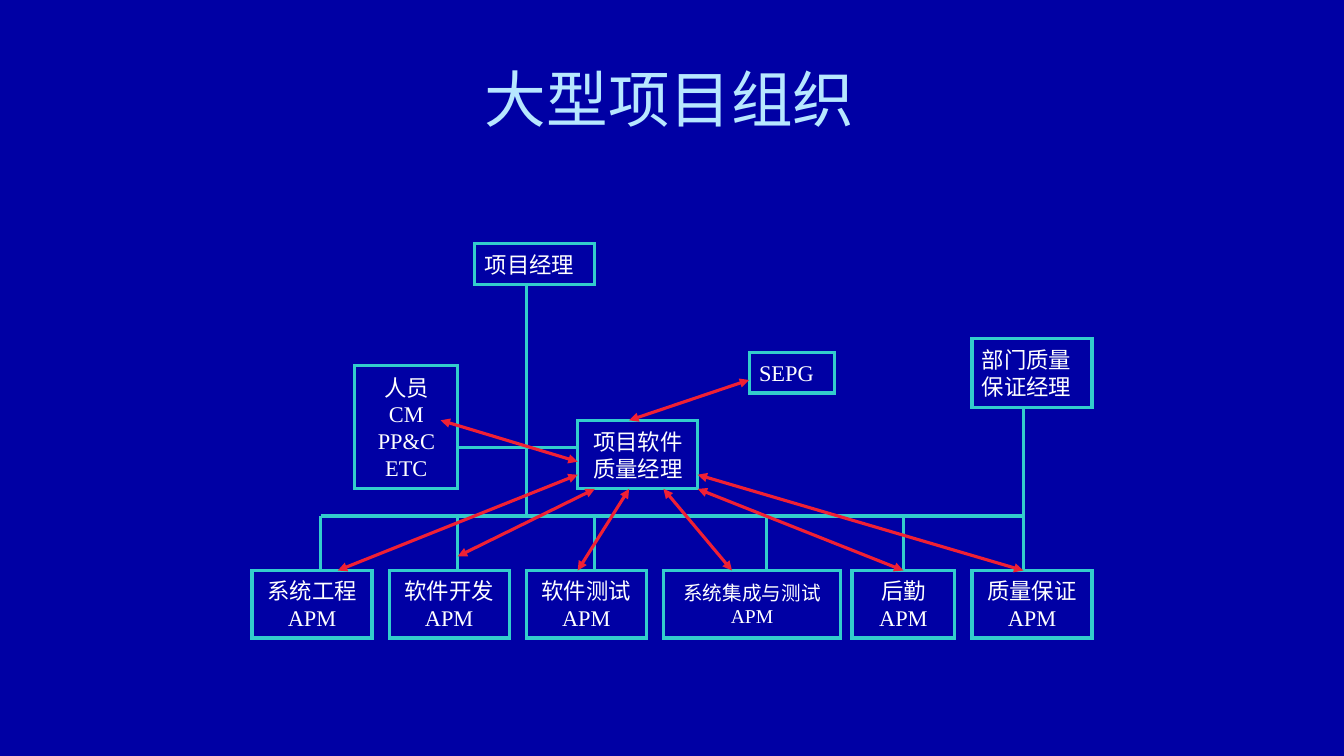
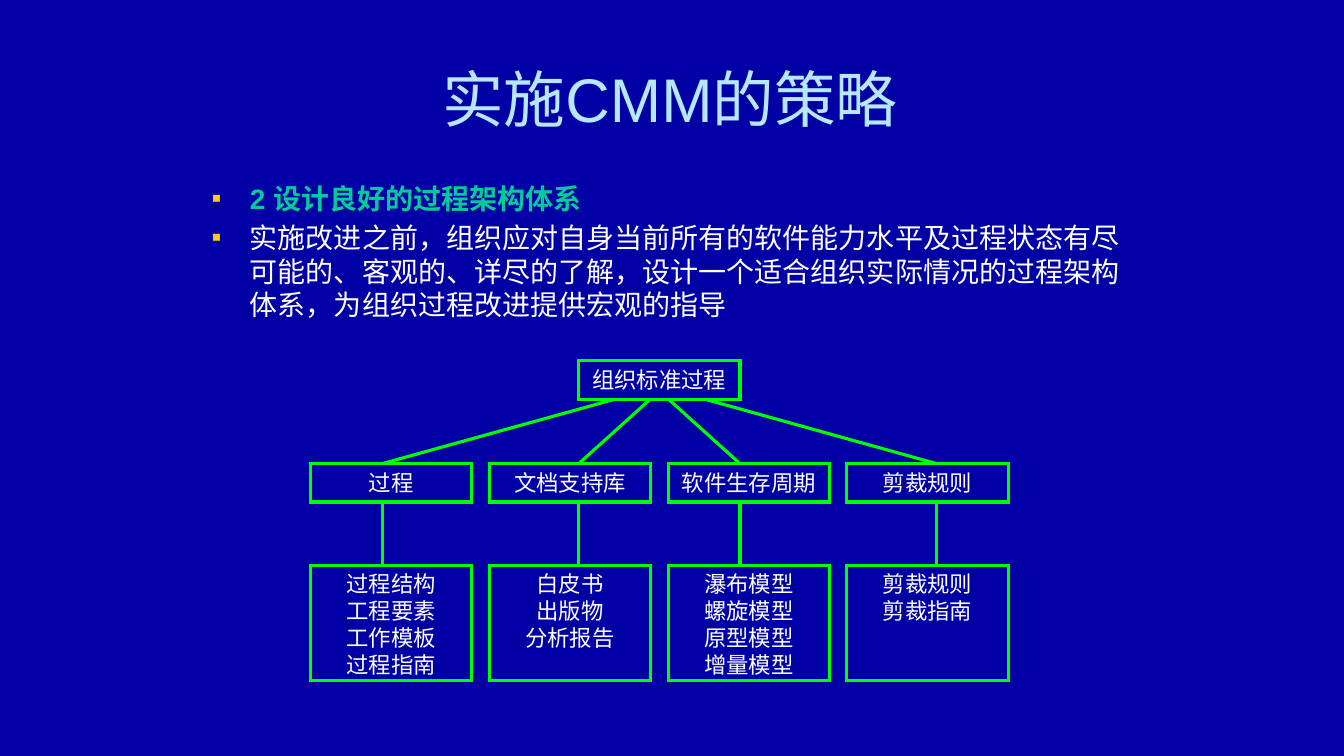
import pptx
import pptx.util
import pptx.dml.color
import pptx.enum.shapes
import pptx.enum.text
from lxml import etree

Inches = pptx.util.Inches
Pt = pptx.util.Pt
ALIGN = pptx.enum.text.PP_ALIGN
ANCHOR = pptx.enum.text.MSO_ANCHOR

COLORS = {
    "back": "0000A4",
    "title": "B7E7FF",
    "text": "FFFFFF",
    "teal": "33CCCC",
    "red": "F02034",
    "lime": "00FF00",
    "head": "00CC99",
    "bullet": "FFCC00",
}
NS = "{http://schemas.openxmlformats.org/drawingml/2006/main}"


def rgb(name):
    return pptx.dml.color.RGBColor.from_string(COLORS[name])


class Deck:
    def __init__(self):
        self.prs = pptx.Presentation()
        self.prs.slide_width = Inches(13.33)
        self.prs.slide_height = Inches(7.5)
        fill = self.prs.slide_master.background.fill
        fill.solid()
        fill.fore_color.rgb = rgb("back")
        self.slide = None

    def style(self, para, size, font, color="text", bold=False, align=ALIGN.CENTER):
        para.alignment = align
        for run in para.runs:
            run.font.size = Pt(size)
            run.font.name = font
            run.font.bold = bold
            run.font.color.rgb = rgb(color)

    def stroke(self, shape, color):
        """Draw a shape's line with sharp corners; return its XML."""
        shape.line.color.rgb = rgb(color)
        shape.line.width = Pt(2.25)
        ln = shape.line._get_or_add_ln()
        etree.SubElement(ln, NS + "miter", lim="800000")
        return ln

    def start(self, title):
        """Add a slide with its title."""
        self.slide = self.prs.slides.add_slide(self.prs.slide_layouts[5])
        shape = self.slide.shapes.title
        shape.left, shape.top = Inches(0.44), Inches(0.25)
        shape.width, shape.height = Inches(12.41), Inches(1.45)
        frame = shape.text_frame
        frame.text = title
        frame.auto_size = pptx.enum.text.MSO_AUTO_SIZE.NONE
        frame.vertical_anchor = ANCHOR.MIDDLE
        self.style(frame.paragraphs[0], 44, "Arial", "title")

    def box(self, text, x, y, w, h, line="teal", fill="back", size=16,
            align=ALIGN.CENTER, anchor=ANCHOR.MIDDLE):
        shape = self.slide.shapes.add_shape(
            pptx.enum.shapes.MSO_SHAPE.RECTANGLE,
            Inches(x), Inches(y), Inches(w), Inches(h))
        shape.shadow.inherit = False
        if fill:
            shape.fill.solid()
            shape.fill.fore_color.rgb = rgb(fill)
        else:
            shape.fill.background()
        self.stroke(shape, line)
        frame = shape.text_frame
        frame.text = text
        frame.word_wrap = True
        frame.vertical_anchor = anchor
        for para in frame.paragraphs:
            self.style(para, size, "Times New Roman", align=align)

    def line(self, x1, y1, x2, y2, color="teal", arrows=False):
        link = self.slide.shapes.add_connector(
            pptx.enum.shapes.MSO_CONNECTOR.STRAIGHT,
            Inches(x1), Inches(y1), Inches(x2), Inches(y2))
        ln = self.stroke(link, color)
        if arrows:
            for end in ("headEnd", "tailEnd"):
                etree.SubElement(ln, NS + end, type="triangle")
        etree.SubElement(link._element.spPr, NS + "effectLst")

    def bullets(self, items, x, y, w, h):
        """Add a bulleted list of (text, color, bold) items."""
        shape = self.slide.shapes.add_textbox(
            Inches(x), Inches(y), Inches(w), Inches(h))
        frame = shape.text_frame
        frame.word_wrap = True
        for i, (text, color, bold) in enumerate(items):
            para = frame.paragraphs[0] if i == 0 else frame.add_paragraph()
            para.text = text
            if i:
                para.space_before = Pt(4)
            props = para._p.get_or_add_pPr()
            props.set("marL", str(Inches(0.38)))
            props.set("indent", str(-Inches(0.38)))
            tint = etree.SubElement(props, NS + "buClr")
            etree.SubElement(tint, NS + "srgbClr", val=COLORS["bullet"])
            etree.SubElement(props, NS + "buFont", typeface="Arial")
            etree.SubElement(props, NS + "buChar", char="▪")
            self.style(para, 20, "Arial", color, bold, ALIGN.LEFT)


def project(deck):
    deck.start("大型项目组织")
    bus, row = 5.12, 5.66

    deck.box("项目经理", 4.71, 2.42, 1.19, 0.4, align=ALIGN.LEFT)
    deck.box("SEPG", 7.43, 3.5, 0.85, 0.4, align=ALIGN.LEFT)
    deck.box("部门质量\n保证经理", 9.64, 3.36, 1.19, 0.68, align=ALIGN.LEFT)
    deck.box("人员\nCM\nPP&C\nETC", 3.52, 3.63, 1.02, 1.22)
    deck.box("项目软件\n质量经理", 5.73, 4.17, 1.19, 0.68)

    teams = [  # name, left, width, text size, stem
        ("系统工程", 2.5, 1.19, 16, 3.18),
        ("软件开发", 3.86, 1.19, 16, 4.54),
        ("软件测试", 5.22, 1.19, 16, 5.9),
        ("系统集成与测试", 6.58, 1.76, 14, 7.6),
        ("后勤", 8.45, 1.02, 16, 8.96),
        ("质量保证", 9.64, 1.19, 16, 10.15),
    ]
    for name, left, width, size, stem in teams:
        deck.box(name + "\nAPM", left, row, width, 0.67, size=size)
        deck.line(stem, bus, stem, row)

    deck.line(3.18, bus, 10.15, bus)
    deck.line(5.22, 2.82, 5.22, bus)
    deck.line(10.15, 4.04, 10.15, bus)
    deck.line(4.54, 4.44, 5.73, 4.44)

    arrows = [
        (3.35, row, 5.73, 4.71),
        (4.54, 5.52, 5.9, 4.85),
        (5.73, row, 6.24, 4.85),
        (7.26, row, 6.58, 4.85),
        (8.96, row, 6.92, 4.85),
        (6.92, 4.71, 10.15, row),
        (6.24, 4.17, 7.43, 3.77),
        (4.37, 4.17, 5.73, 4.58),
    ]
    for ends in arrows:
        deck.line(*ends, color="red", arrows=True)


def strategy(deck):
    deck.start("实施CMM的策略")
    deck.bullets([
        ("2 设计良好的过程架构体系", "head", True),
        ("实施改进之前，组织应对自身当前所有的软件能力水平及过程状态有尽可能的、"
         "客观的、详尽的了解，设计一个适合组织实际情况的过程架构体系，"
         "为组织过程改进提供宏观的指导", "text", False),
    ], 2, 1.75, 9.34, 1.58)

    wide, high, mid, low = 1.6, 0.38, 4.6, 5.61
    look = {"line": "lime", "fill": None, "anchor": ANCHOR.TOP}
    deck.box("组织标准过程", 5.74, 3.58, wide, high, **look)
    parts = [  # name, contents, start of branch, stem
        ("过程", "过程结构\n工程要素\n工作模板\n过程指南", 6.1, 3.79),
        ("文档支持库", "白皮书\n出版物\n分析报告", 6.45, 5.74),
        ("软件生存周期", "瀑布模型\n螺旋模型\n原型模型\n增量模型", 6.63, 7.34),
        ("剪裁规则", "剪裁规则\n剪裁指南", 6.99, 9.29),
    ]
    step = (8.4 - 3.08) / 3
    for i, (name, items, root, stem) in enumerate(parts):
        left = 3.08 + i * step
        deck.box(name, left, mid, wide, high, **look)
        deck.box(items, left, low, wide, 1.14, **look)
        deck.line(root, 3.58 + high, stem, mid, "lime")
        deck.line(stem, mid + high, stem, low, "lime")


def main():
    deck = Deck()
    project(deck)
    strategy(deck)
    deck.prs.save("out.pptx")


if __name__ == "__main__":
    main()
